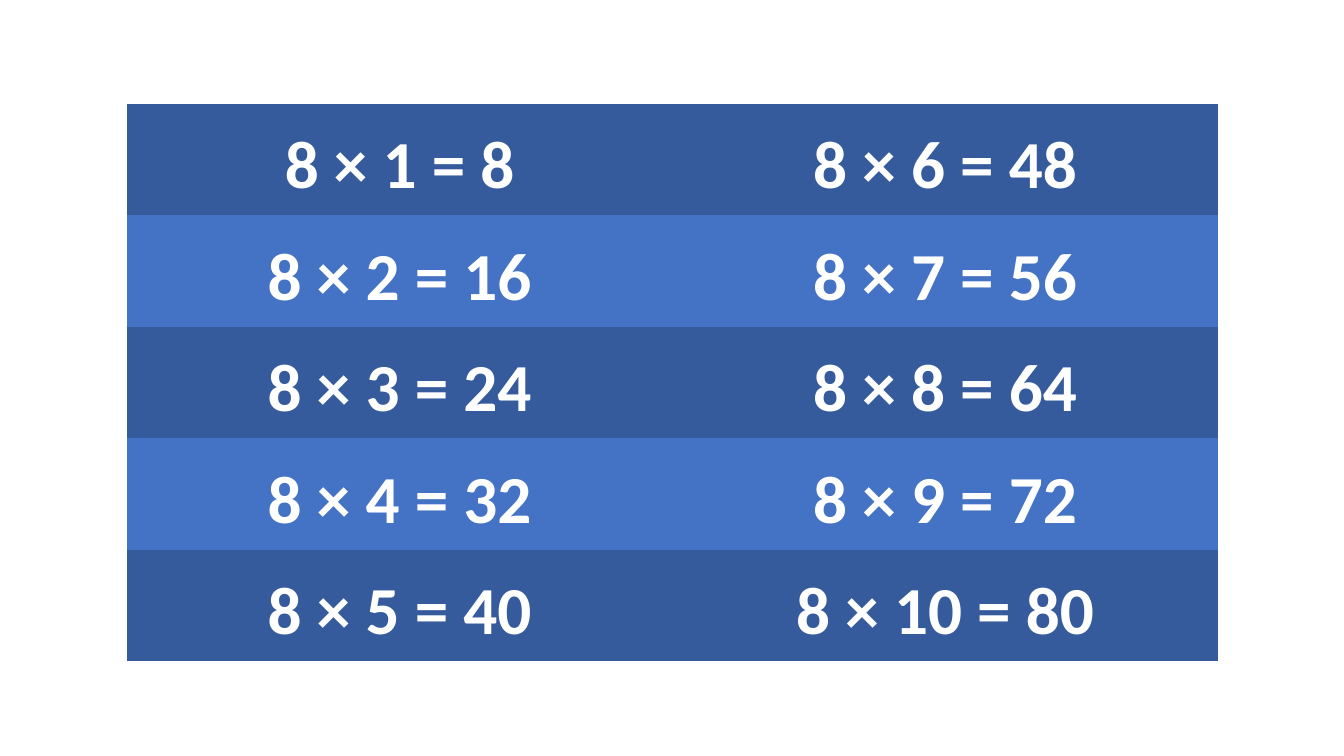
"""Build a slide with the eight times table in two columns."""
from pptx import Presentation, util as u
from pptx.dml.color import RGBColor
from pptx.enum import text

FACTOR = 8
ROWS, COLUMNS = 5, 2
SLIDE = (13.33, 7.5)
GRID = {"left": 1.26, "top": 1.03, "width": 10.82, "height": 5.53}
BANDS = ("365B9D", "4472C4")
CELL = {
    "vertical_anchor": text.MSO_ANCHOR.MIDDLE,
    "margin_left": u.Inches(0.07),
    "margin_right": u.Inches(0.07),
    "margin_top": 0,
    "margin_bottom": 0,
}
PARAGRAPH = {"alignment": text.PP_ALIGN.CENTER, "line_spacing": 1.15}
FONT = {"name": "Calibri", "size": u.Pt(48), "bold": True}


def color(value):
    return RGBColor.from_string(value)


def apply(target, values):
    for key, value in values.items():
        setattr(target, key, value)


def write_product(cell, multiplier, band):
    apply(cell, CELL)
    cell.fill.solid()
    cell.fill.fore_color.rgb = color(band)
    equation = cell.text_frame.paragraphs[0]
    apply(equation, PARAGRAPH)
    product = equation.add_run()
    product.text = f"{FACTOR} × {multiplier} = {FACTOR * multiplier}"
    apply(product.font, FONT)
    product.font.color.rgb = color("FFFFFF")


def main():
    deck = Presentation()
    deck.slide_width, deck.slide_height = map(u.Inches, SLIDE)
    slide = deck.slides.add_slide(deck.slide_layouts[6])
    box = {side: u.Inches(length) for side, length in GRID.items()}
    products = slide.shapes.add_table(ROWS, COLUMNS, **box).table
    apply(products, {"first_row": False, "horz_banding": False})
    for row in range(ROWS):
        for column in range(COLUMNS):
            multiplier = column * ROWS + row + 1
            write_product(products.cell(row, column), multiplier, BANDS[row % len(BANDS)])
    for line in products.rows:
        line.height = box["height"] // ROWS
    for line in products.columns:
        line.width = box["width"] // COLUMNS
    borderless = "{2D5ABB26-0587-4C30-8999-92F81FD0307C}"
    style = products._tbl.tblPr.find("{*}tableStyleId")
    style.text = borderless
    deck.save("out.pptx")


if __name__ == "__main__":
    main()
